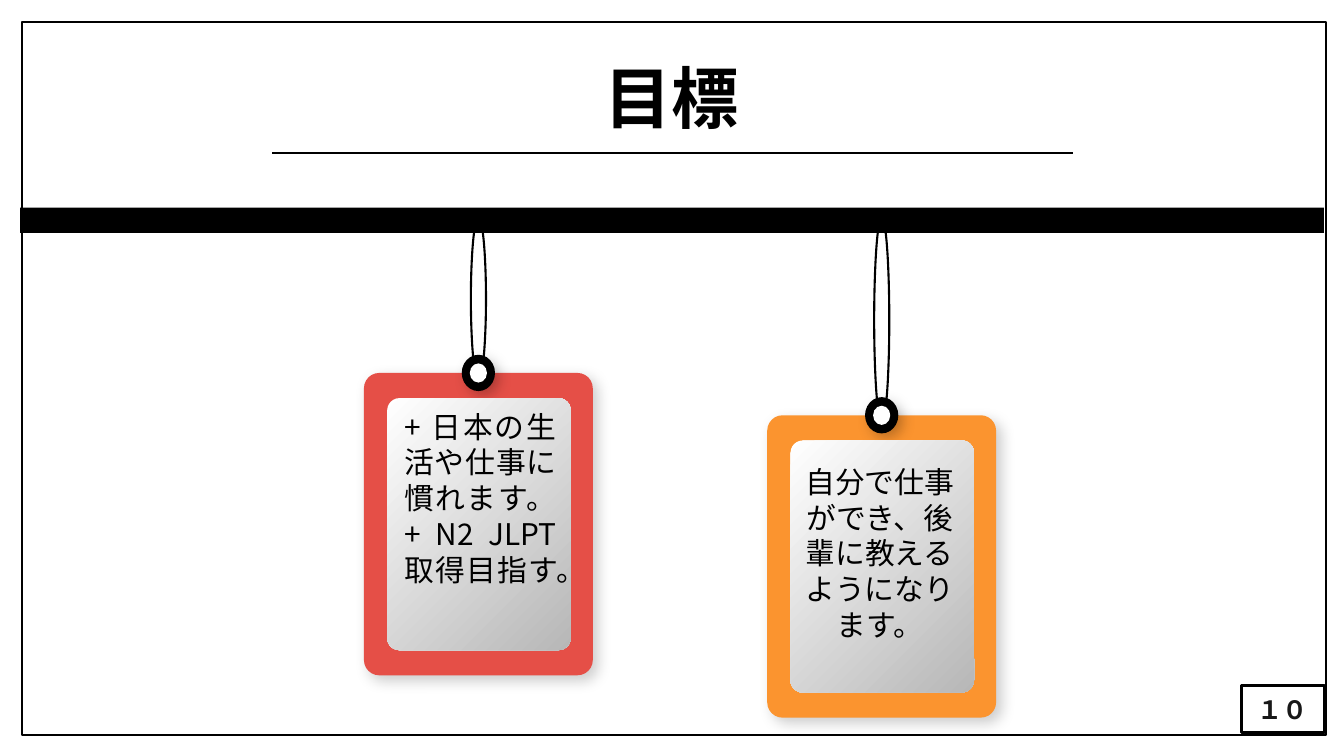
from lxml import etree
from pptx import Presentation, util as u
from pptx.dml.color import RGBColor
from pptx.enum import shapes as sh, text as tx
from pptx.oxml import parse_xml
from pptx.oxml.ns import qn

NS = "http://schemas.openxmlformats.org/drawingml/2006/main"
FONT = "Noto Sans CJK JP"
BLACK, WHITE = "000000", "FFFFFF"
KIND = sh.MSO_SHAPE
W, H = 13.33, 7.5
SHADE = f"""<a:effectLst xmlns:a="{NS}">
<a:outerShdw blurRad="127000" dist="63500" dir="2700000" algn="tl" rotWithShape="0">
<a:srgbClr val="000000"><a:alpha val="20000"/></a:srgbClr></a:outerShdw></a:effectLst>"""

prs = Presentation()
prs.slide_width, prs.slide_height = u.Inches(W), u.Inches(H)
slide = prs.slides.add_slide(prs.slide_layouts[6])


def draw(kind, box, fill=None, line=None, shade=False):
    """Add a shape; fill is a hex colour or a pair of them for a gradient."""
    item = slide.shapes.add_shape(kind, *map(u.Inches, box))
    item.shadow.inherit = False
    if kind == KIND.ROUNDED_RECTANGLE:
        item.adjustments[0] = 0.067
    if isinstance(fill, tuple):
        item.fill.gradient()
        item.fill.gradient_angle = 315
        for stop, tone in zip(item.fill.gradient_stops, fill):
            stop.color.rgb = RGBColor.from_string(tone)
    elif fill:
        item.fill.solid()
        item.fill.fore_color.rgb = RGBColor.from_string(fill)
    else:
        item.fill.background()
    if line:
        item.line.color.rgb = RGBColor.from_string(BLACK)
        item.line.width = u.Pt(line)
    else:
        item.line.fill.background()
    if shade:
        props = item.fill._xPr
        props.replace(props.find(qn("a:effectLst")), parse_xml(SHADE))
    return item


def write(item, words, size, align, pad=0.07, bold=False, tone=BLACK):
    """Fill a shape or text box with one paragraph."""
    frame = item.text_frame
    frame.word_wrap = True
    frame.margin_left = frame.margin_right = u.Inches(0.13)
    frame.margin_top = frame.margin_bottom = u.Inches(pad)
    para = frame.paragraphs[0]
    para.alignment = align
    run = para.add_run()
    run.text = words
    font = run.font
    font.name, font.size, font.bold = FONT, u.Pt(size), bold
    font.color.rgb = RGBColor.from_string(tone)
    east = etree.SubElement(run._r.get_or_add_rPr(), qn("a:ea"))
    east.set("typeface", FONT)
    return frame


# Frame, title and rule
draw(KIND.RECTANGLE, (0.22, 0.22, 12.93, 7.07), line=1.5)
title = slide.shapes.add_textbox(*map(u.Inches, (4.4, 0.54, 4.53, 0.84)))
head = write(title, "目標", 48, tx.PP_ALIGN.CENTER, pad=0.13, bold=True)
head.vertical_anchor = tx.MSO_ANCHOR.MIDDLE
rule = slide.shapes.add_connector(
    sh.MSO_CONNECTOR.STRAIGHT, *map(u.Inches, (2.7, 1.52, 10.64, 1.52)))
rule.line.color.rgb = RGBColor.from_string(BLACK)
rule.line.width = u.Pt(1.5)
etree.SubElement(rule._element.spPr, qn("a:effectLst"))

# Rail that holds the tags
RAIL = 2.16
draw(KIND.RECTANGLE, (0.2, RAIL - 0.1, 12.93, 0.25), BLACK)

# Hanging tags: left, top, colour, text corner, alignment, words
TAG_W, TAG_H, RIM = 2.27, 3, 0.25
tags = [
    (3.61, 3.7, "E54F47", (3.88, 3.98), tx.PP_ALIGN.JUSTIFY,
     "+ 日本の生活や仕事に慣れます。 + N2 JLPT取得目指す。"),
    (7.61, 4.12, "FB942F", (7.84, 4.53), tx.PP_ALIGN.CENTER,
     "自分で仕事ができ、後輩に教えるようになります。"),
]
for left, top, tone, spot, align, words in tags:
    mid = left + TAG_W / 2
    draw(KIND.OVAL, (mid - 0.075, RAIL, 0.15, top + 0.07 - RAIL), line=1.5)
    draw(KIND.ROUNDED_RECTANGLE, (left, top, TAG_W, TAG_H), tone, shade=True)
    for wide, high, ink in ((0.33, 0.36, BLACK), (0.17, 0.19, WHITE)):
        draw(KIND.OVAL, (mid - wide / 2, top - high / 2, wide, high), ink, shade=True)
    draw(KIND.ROUNDED_RECTANGLE,
         (left + 0.23, top + RIM, 1.82, TAG_H - 2 * RIM), (WHITE, "B7B7B7"))
    note = slide.shapes.add_textbox(*map(u.Inches, (*spot, 1.77, 2.01)))
    write(note, words, 21.3, align)

# Page number
page = draw(KIND.RECTANGLE, (12.31, 6.8, 0.83, 0.47), WHITE, line=2)
label = write(page, "１０", 18, tx.PP_ALIGN.CENTER, bold=True, tone="181818")
label.vertical_anchor = tx.MSO_ANCHOR.MIDDLE

prs.save("out.pptx")
